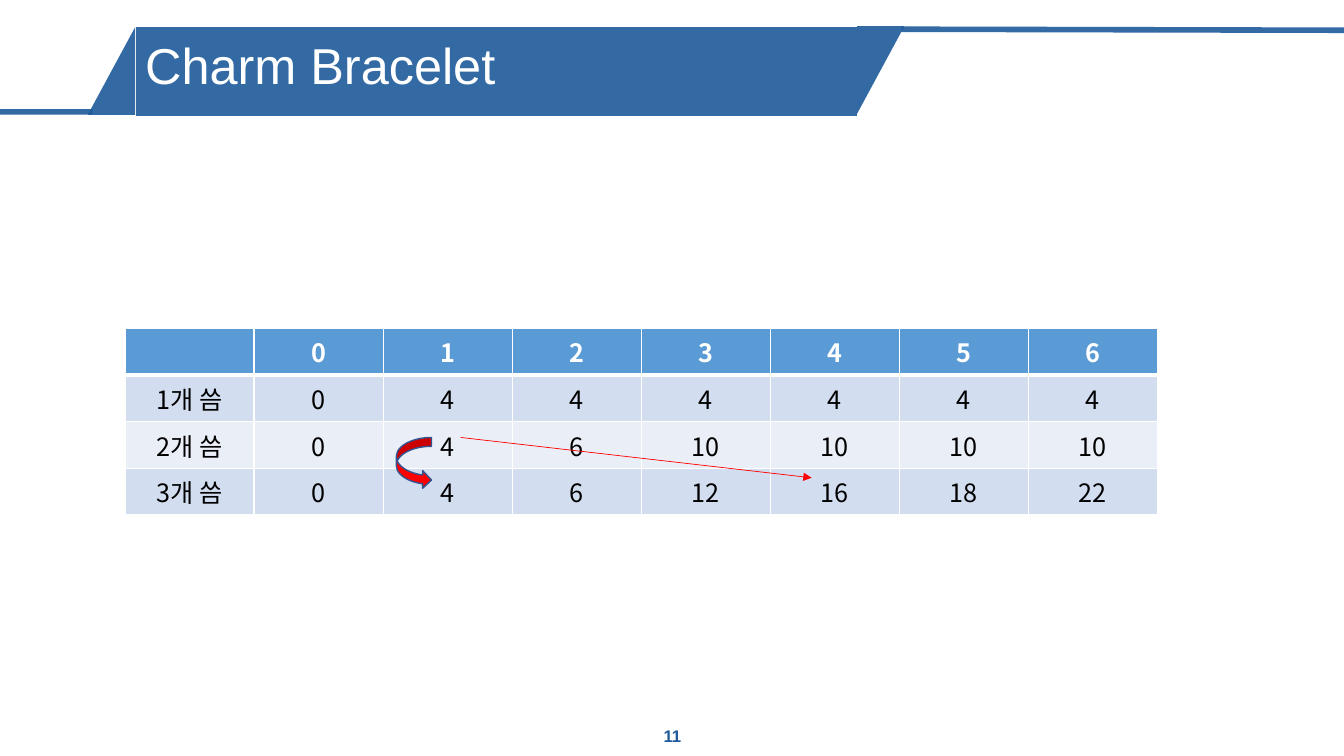
from lxml import etree
from pptx import Presentation, util as u
from pptx.dml import color as dml
from pptx.enum import shapes, text
from pptx.oxml import ns

NAVY, WHITE, BLACK, RED = "1E5A9B", "FFFFFF", "000000", "FF0000"
HEADER, BANDS = "5B9BD5", ("D2DEEF", "EAEFF7")
LATIN, KOREAN = "Arial", "Noto Sans CJK KR"


def rgb(code):
    return dml.RGBColor.from_string(code)


def add_tag(parent, tag, **attributes):
    return etree.SubElement(parent, ns.qn(tag), attributes)


class SlideBuilder:
    """Draws styled elements on the current slide."""

    def __init__(self, slide):
        self.slide = slide

    def box(self, *lengths):
        return [u.Inches(length) for length in lengths]

    def see_through(self, element):
        for code in element.iter(ns.qn("a:srgbClr")):
            add_tag(code, "a:alpha", val="90000")

    def add_words(self, paragraph, words, size, font, color, bold=False, align=None):
        paragraph.alignment = align
        run = paragraph.add_run()
        run.text = words
        run.font.size, run.font.name, run.font.bold = u.Pt(size), font, bold
        run.font.color.rgb = rgb(color)
        add_tag(run.font._element, "a:ea", typeface=font)

    def shape(self, kind, at, fill, outline=None, rotation=0):
        figure = self.slide.shapes.add_shape(kind, *self.box(*at))
        figure.shadow.inherit = False
        figure.rotation = rotation
        figure.fill.solid()
        figure.fill.fore_color.rgb = rgb(fill)
        if outline:
            figure.line.color.rgb = rgb(outline)
            figure.line.width = u.Pt(1)
        else:
            figure.line.fill.background()
        return figure

    def banner_part(self, kind, at, rotation=0):
        self.see_through(self.shape(kind, at, NAVY, rotation=rotation)._element)

    def line(self, start, end, color, width, arrow=False):
        rule = self.slide.shapes.add_connector(
            shapes.MSO_CONNECTOR.STRAIGHT, *self.box(*start, *end))
        rule.line.color.rgb = rgb(color)
        rule.line.width = u.Pt(width)
        properties = rule._element.spPr
        if arrow:
            add_tag(properties.find(ns.qn("a:ln")), "a:tailEnd", type="triangle")
        add_tag(properties, "a:effectLst")
        return rule

    def banner_line(self, start, end):
        self.see_through(self.line(start, end, NAVY, 4)._element)

    def title(self, words, at):
        heading = self.slide.shapes.title
        heading.left, heading.top, heading.width, heading.height = self.box(*at)
        frame = heading.text_frame
        frame.auto_size = text.MSO_AUTO_SIZE.NONE
        frame.vertical_anchor = text.MSO_ANCHOR.MIDDLE
        frame.paragraphs[0].line_spacing = 0.9
        self.add_words(frame.paragraphs[0], words, 36, LATIN, WHITE,
                       align=text.PP_ALIGN.LEFT)
        heading._element.getparent().append(heading._element)

    def page_number(self, words, at):
        frame = self.slide.shapes.add_textbox(*self.box(*at)).text_frame
        frame.word_wrap = True
        frame.vertical_anchor = text.MSO_ANCHOR.MIDDLE
        self.add_words(frame.paragraphs[0], words, 12, LATIN, NAVY, True,
                       text.PP_ALIGN.CENTER)

    def borders(self, cell, top, bottom):
        properties = cell._tc.get_or_add_tcPr()
        for side, width in (("L", 1), ("R", 1), ("T", top), ("B", bottom)):
            edge = add_tag(properties, f"a:ln{side}", w=str(u.Pt(width)))
            add_tag(add_tag(edge, "a:solidFill"), "a:srgbClr", val=WHITE)

    def table(self, rows, left, top, column_width, row_height):
        count = len(rows[0])
        grid = self.slide.shapes.add_table(len(rows), count, *self.box(
            left, top, column_width * count, row_height * len(rows))).table
        for r, row in enumerate(rows):
            is_header = r == 0
            for c, value in enumerate(row):
                cell = grid.cell(r, c)
                self.borders(cell, 3 if r == 1 else 1, 3 if is_header else 1)
                cell.fill.solid()
                cell.fill.fore_color.rgb = rgb(HEADER if is_header else BANDS[(r - 1) % 2])
                if value != "":
                    self.add_words(cell.text_frame.paragraphs[0], str(value), 18, KOREAN,
                                   WHITE if is_header else BLACK, is_header,
                                   text.PP_ALIGN.CENTER)


def main():
    deck = Presentation()
    deck.slide_width, deck.slide_height = u.Inches(13.33), u.Inches(7.5)
    page = SlideBuilder(deck.slides.add_slide(deck.slide_layouts[5]))
    preset = shapes.MSO_SHAPE

    page.banner_part(preset.RIGHT_TRIANGLE, (8.3, 0.46, 0.87, 0.47), 90)
    page.banner_line((0.92, 1.11), (0, 1.11))
    page.banner_part(preset.RIGHT_TRIANGLE, (0.67, 0.47, 0.87, 0.47), 270)
    page.banner_line((13.33, 0.3), (8.94, 0.29))
    page.banner_part(preset.RECTANGLE, (1.35, 0.27, 7.15, 0.88))
    page.page_number("11", (5.17, 7.1, 3, 0.4))
    page.title("Charm Bracelet", (1.34, 0.27, 7.15, 0.81))

    best_values = [
        ["", *range(7)],
        ["1개 씀", 0, 4, 4, 4, 4, 4, 4],
        ["2개 씀", 0, 4, 6, 10, 10, 10, 10],
        ["3개 씀", 0, 4, 6, 12, 16, 18, 22],
    ]
    page.table(best_values, 1.24, 3.26, 1.28, 0.44)
    page.shape(preset.CURVED_RIGHT_ARROW, (3.93, 4.34, 0.35, 0.51), RED, "325491")
    page.line((4.57, 4.34), (8.05, 4.74), RED, 0.5, arrow=True)
    deck.save("out.pptx")


if __name__ == "__main__":
    main()
